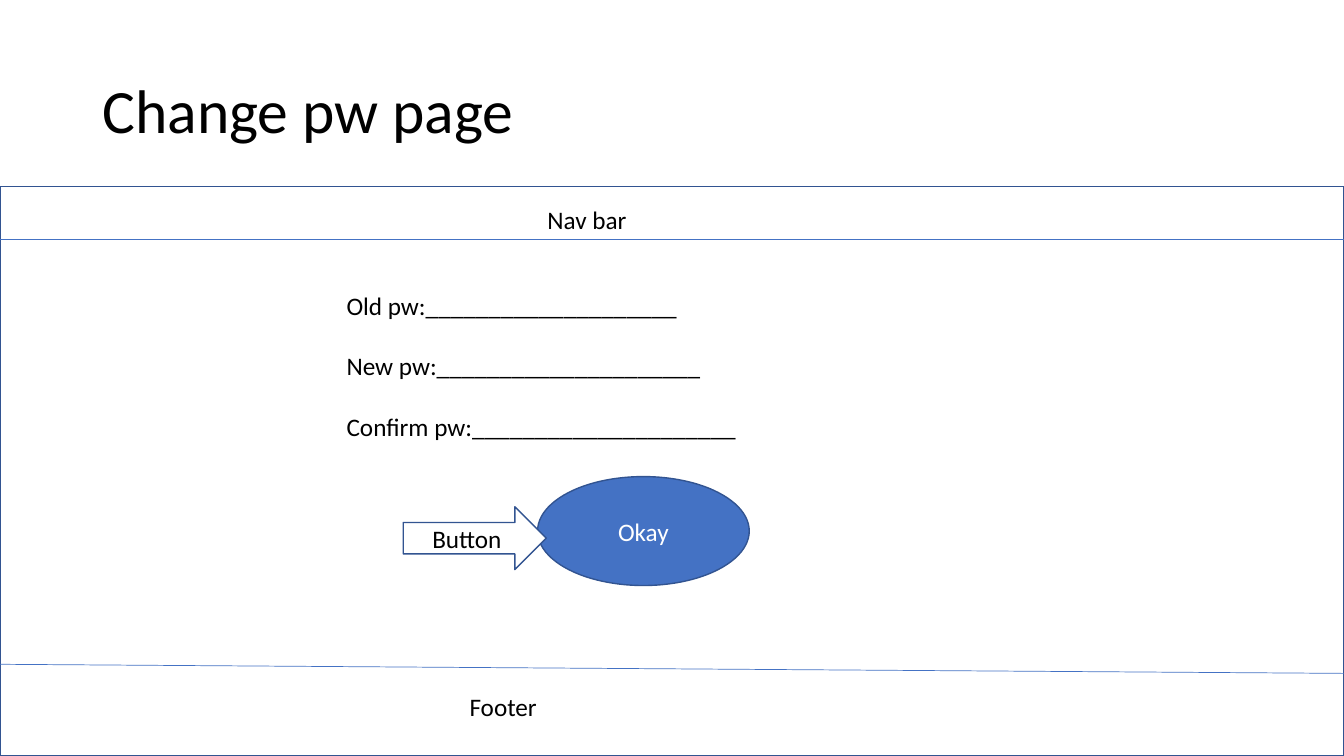
from lxml import etree
from pptx import Presentation
from pptx.dml.color import RGBColor
from pptx.enum import shapes, text
from pptx.oxml import ns
from pptx.util import Pt

BLACK = RGBColor(0x00, 0x00, 0x00)
WHITE = RGBColor(0xFF, 0xFF, 0xFF)
BLUE = RGBColor(0x44, 0x72, 0xC4)
DARK_BLUE = RGBColor(0x32, 0x54, 0x91)
FONT = "Calibri"
WIDTH, HEIGHT = 960, 540
PAGE_TOP = 133.2

TITLE = ("Change pw page", (66, 28.8, 828, 104.4))
LABELS = [
    (["Nav bar"], (384, 142.6, 194.4, 29)),
    (["Old pw:" + "_" * 20, "New pw:" + "_" * 21, "Confirm pw:" + "_" * 21],
     (240.5, 203.8, 453.6, 181.4)),
    (["Footer"], (328.3, 490.3, 249.8, 29)),
]
DIVIDERS = [(171.2, 171.2), (474.5, 481)]
BUTTONS = [
    ("Okay", shapes.MSO_SHAPE.OVAL, (384, 340.4, 151.2, 77.8), BLUE, WHITE),
    ("Button", shapes.MSO_SHAPE.RIGHT_ARROW, (288, 362, 102.2, 44.9), WHITE, BLACK),
]


def points(box):
    return [Pt(length) for length in box]


def style(paragraph, size, color, align):
    paragraph.font.name = FONT
    paragraph.font.size = Pt(size)
    paragraph.font.color.rgb = color
    paragraph.alignment = align


def add_filled(kind, box, fill):
    outline = slide.shapes.add_shape(kind, *points(box))
    outline.shadow.inherit = False
    outline.fill.solid()
    outline.fill.fore_color.rgb = fill
    outline.line.color.rgb = DARK_BLUE
    outline.line.width = Pt(1)
    return outline


deck = Presentation()
deck.slide_width, deck.slide_height = Pt(WIDTH), Pt(HEIGHT)
slide = deck.slides.add_slide(deck.slide_layouts[5])

heading = slide.shapes.title
heading.left, heading.top, heading.width, heading.height = points(TITLE[1])
heading.text_frame.text = TITLE[0]
heading.text_frame.vertical_anchor = text.MSO_ANCHOR.MIDDLE
heading_line = heading.text_frame.paragraphs[0]
heading_line.line_spacing = 0.9
style(heading_line, 44, BLACK, text.PP_ALIGN.LEFT)

add_filled(shapes.MSO_SHAPE.RECTANGLE, (0, PAGE_TOP, WIDTH, HEIGHT - PAGE_TOP), WHITE)

for left_y, right_y in DIVIDERS:
    divider = slide.shapes.add_connector(
        shapes.MSO_CONNECTOR.STRAIGHT, *points((0, left_y, WIDTH, right_y)))
    divider.line.color.rgb = BLUE
    divider.line.width = Pt(0.5)
    etree.SubElement(divider._element.spPr, ns.qn("a:effectLst"))

for lines, box in LABELS:
    label = slide.shapes.add_textbox(*points(box)).text_frame
    label.word_wrap = True
    label.text = "\n".join(lines)
    for index, paragraph in enumerate(label.paragraphs):
        style(paragraph, 18, BLACK, text.PP_ALIGN.LEFT)
        paragraph.space_before = Pt(21.5 if index else 0)

for caption, kind, box, fill, color in BUTTONS:
    button = add_filled(kind, box, fill).text_frame
    button.text = caption
    button.vertical_anchor = text.MSO_ANCHOR.MIDDLE
    style(button.paragraphs[0], 18, color, text.PP_ALIGN.CENTER)

deck.save("out.pptx")
